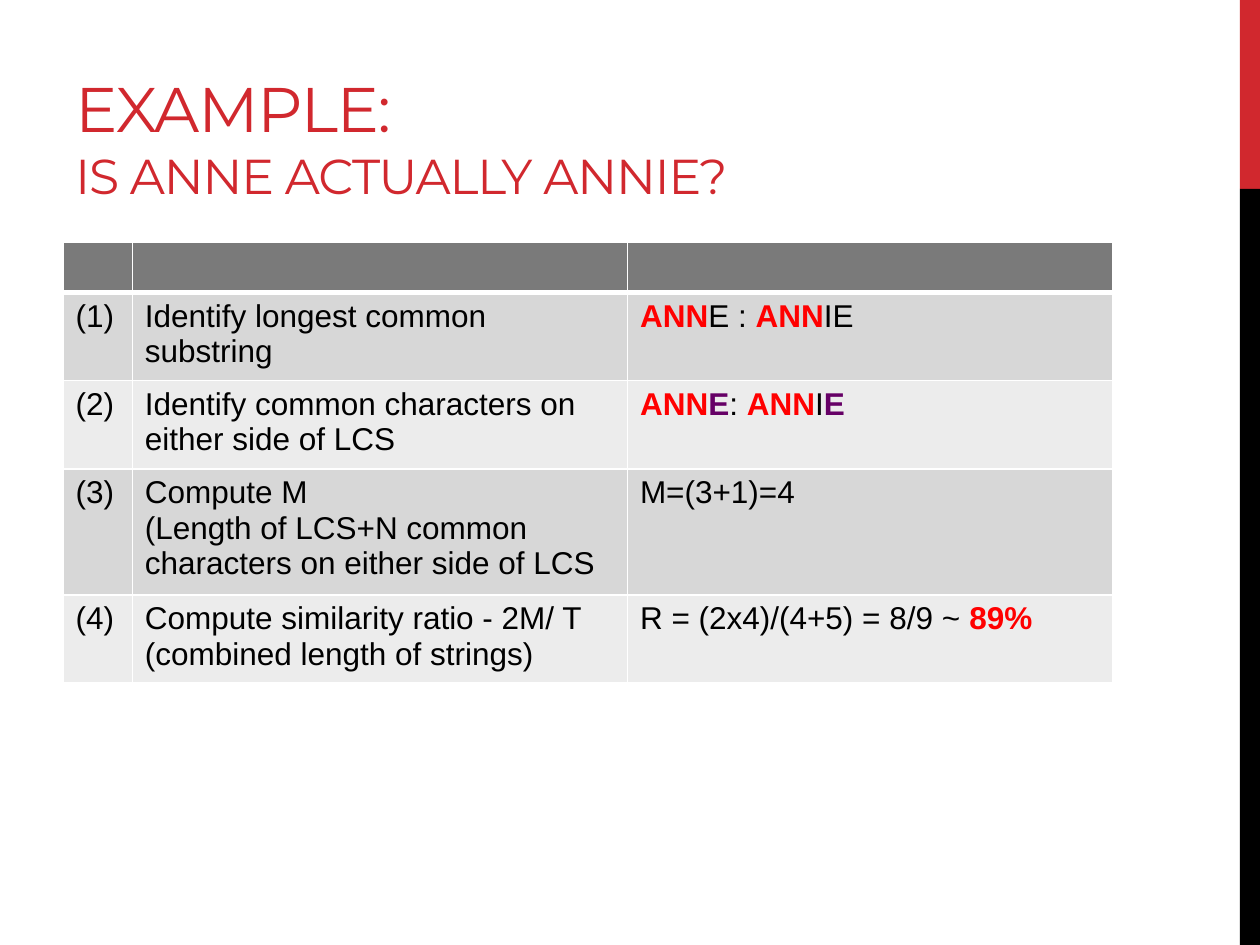
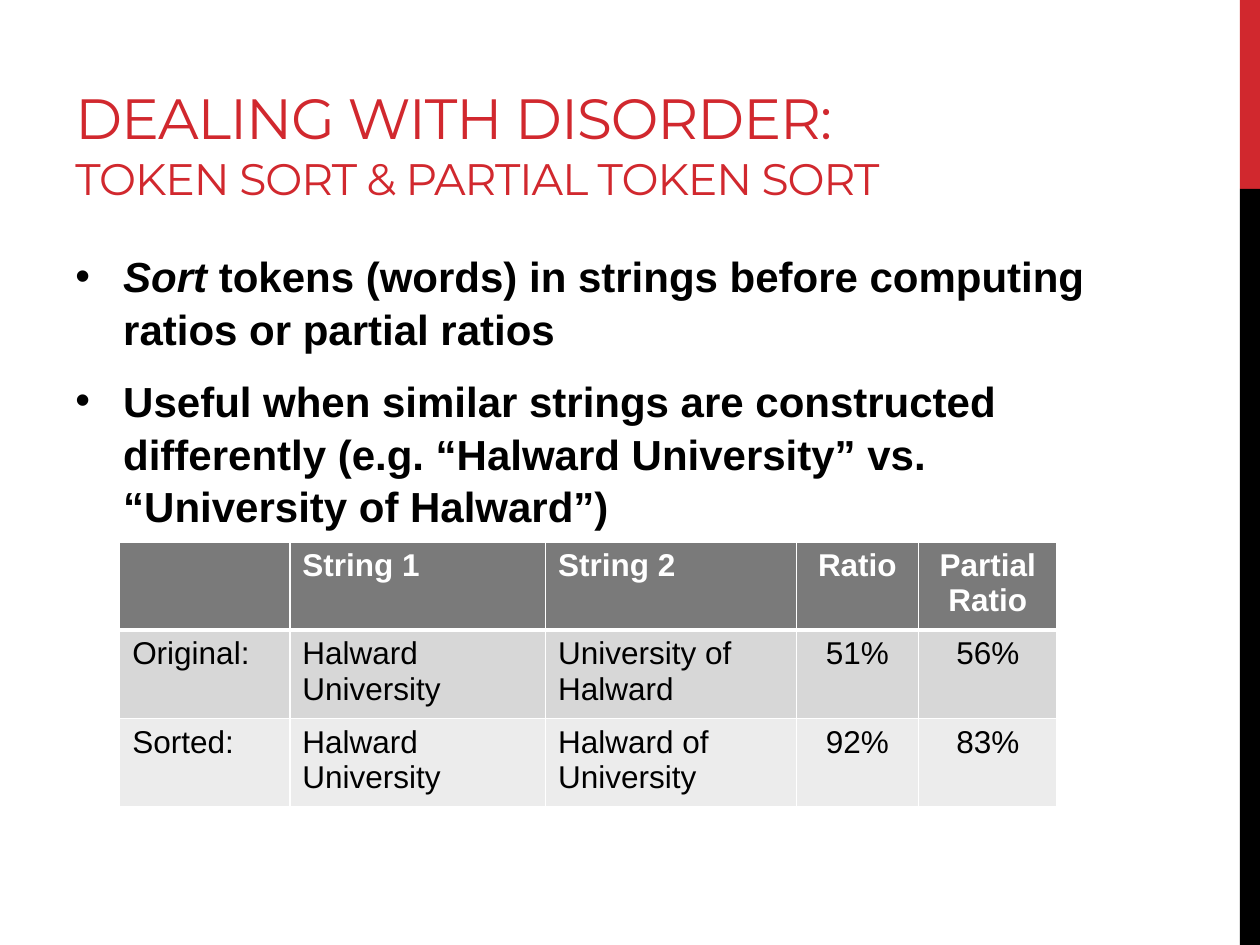
from lxml.etree import SubElement
from pptx import Presentation
from pptx.dml.color import RGBColor
from pptx.enum.shapes import MSO_SHAPE as Shape
from pptx.enum.text import MSO_ANCHOR as Anchor, PP_ALIGN as Align
from pptx.oxml.ns import qn
from pptx.util import Inches, Pt

RED, BLACK, WHITE = "D1282E", "000000", "FFFFFF"
MATCH, EXTRA = "FF0000", "660066"
HEADER_FILL, ROW_FILLS = "7A7A7A", ("D7D7D7", "ECECEC")
TITLE_FONT, BODY_FONT = "Montserrat", "Arial"

LCS_STEPS = [
    ["", "", ""],
    ["(1)", "Identify longest common substring",
     [("ANN", MATCH), ("E : ", None), ("ANN", MATCH), ("IE", None)]],
    ["(2)", "Identify common characters on either side of LCS",
     [("ANN", MATCH), ("E", EXTRA), (": ", None), ("ANN", MATCH), ("I", None), ("E", EXTRA)]],
    ["(3)", "Compute M\n(Length of LCS+N common characters on either side of LCS", "M=(3+1)=4"],
    ["(4)", "Compute similarity ratio - 2M/ T (combined length of strings)",
     [("R = (2x4)/(4+5) = 8/9 ~ ", None), ("89%", MATCH)]],
]
TOKEN_SORT_RATIOS = [
    ["", "String 1", "String 2", "Ratio", "Partial Ratio"],
    ["Original:", "Halward University", "University of Halward", "51%", "56%"],
    ["Sorted:", "Halward University", "Halward of University", "92%", "83%"],
]


def rgb(hex_code):
    """Turn a hex string into a colour."""
    return RGBColor.from_string(hex_code)


def set_font(font, name, size, color, bold=False):
    """Set the face, size, colour and weight of a font."""
    font.name, font.size, font.bold = name, Pt(size), bold
    font.color.rgb = rgb(color)


def add_text_frame(slide, box):
    """Add a wrapping text box and return its frame."""
    frame = slide.shapes.add_textbox(*map(Inches, box)).text_frame
    frame.word_wrap = True
    return frame


def add_side_bands(slide, left=9.84, width=0.16, split=1.5, bottom=7.5):
    """Draw the red and black bands along the right edge."""
    for top, height, color in ((0, split, RED), (split, bottom - split, BLACK)):
        band = slide.shapes.add_shape(Shape.RECTANGLE, *map(Inches, (left, top, width, height)))
        band.shadow.inherit = False
        band.fill.solid()
        band.fill.fore_color.rgb = rgb(color)
        band.line.fill.background()


def add_title(slide, box, heading, subheading, sizes):
    """Write a heading with a smaller second line at the bottom of the box."""
    frame = add_text_frame(slide, box)
    frame.vertical_anchor = Anchor.BOTTOM
    paragraph = frame.paragraphs[0]
    for index, (text, size) in enumerate(zip((heading, subheading), sizes)):
        if index:
            paragraph.add_line_break()
        run = paragraph.add_run()
        run.text = text
        set_font(run.font, TITLE_FONT, size, RED)
        run._r.get_or_add_rPr().set("spc", "-60")


def add_bullets(slide, box, bullets):
    """Write bold bullets, each a list of (text, italic) runs."""
    frame = add_text_frame(slide, box)
    for index, runs in enumerate(bullets):
        paragraph = frame.add_paragraph() if index else frame.paragraphs[0]
        paragraph.line_spacing = 1.05
        paragraph.space_before, paragraph.space_after = Pt(4.8), Pt(6)
        properties = paragraph._p.get_or_add_pPr()
        properties.set("marL", str(Inches(0.38)))
        properties.set("indent", str(-Inches(0.38)))
        SubElement(properties, qn("a:buFont"), typeface=BODY_FONT)
        SubElement(properties, qn("a:buChar"), char="•")
        set_font(paragraph.font, BODY_FONT, 24, BLACK, True)
        for text, italic in runs:
            run = paragraph.add_run()
            run.text = text
            run.font.italic = italic


def style_cell(cell, row):
    """Give a cell its white borders and the fill of its row."""
    properties = cell._tc.get_or_add_tcPr()
    widths = {"L": 1, "R": 1, "T": 3 if row == 1 else 1, "B": 1 if row else 3}
    for side, width in widths.items():
        border = SubElement(properties, qn(f"a:ln{side}"), w=str(Pt(width)))
        SubElement(SubElement(border, qn("a:solidFill")), qn("a:srgbClr"), val=WHITE)
    cell.fill.solid()
    cell.fill.fore_color.rgb = rgb(ROW_FILLS[(row - 1) % 2] if row else HEADER_FILL)


def write_cell(cell, content, is_header, centered):
    """Write plain text, or (text, highlight) runs, into a cell."""
    frame = cell.text_frame
    if isinstance(content, str):
        frame.text = content
    else:
        for text, highlight in content:
            run = frame.paragraphs[0].add_run()
            run.text = text
            if highlight:
                run.font.bold = True
                run.font.color.rgb = rgb(highlight)
    for paragraph in frame.paragraphs:
        set_font(paragraph.font, BODY_FONT, 18, WHITE if is_header else BLACK, is_header)
        paragraph.alignment = Align.CENTER if centered else Align.LEFT


def add_grid(slide, corner, widths, heights, rows, centered=()):
    """Add a table with a dark header and two alternating row fills."""
    box = map(Inches, (*corner, sum(widths), sum(heights)))
    table = slide.shapes.add_table(len(rows), len(widths), *box).table
    for column, width in zip(table.columns, widths):
        column.width = Inches(width)
    for row, (contents, height) in enumerate(zip(rows, heights)):
        table.rows[row].height = Inches(height)
        for column, content in enumerate(contents):
            cell = table.cell(row, column)
            style_cell(cell, row)
            write_cell(cell, content, row == 0, column in centered)


def build_example(slide):
    """Build the worked similarity example."""
    add_side_bands(slide)
    add_title(slide, (0.5, 0.17, 6.33, 1.5), "EXAMPLE:", "IS ANNE ACTUALLY ANNIE?", (36, 28))
    add_grid(slide, (0.5, 1.92), (0.55, 3.93, 3.85), (0.4, 0.66, 0.66, 0.94, 0.66), LCS_STEPS)


def build_token_sort(slide):
    """Build the slide on sorting tokens."""
    add_side_bands(slide)
    add_title(slide, (0.5, 0.17, 7.89, 1.5), "DEALING WITH DISORDER:",
              "TOKEN SORT & PARTIAL TOKEN SORT", (32.4, 25.2))
    add_bullets(slide, (0.5, 1.92, 8.33, 3.9), [
        [("Sort", True),
         (" tokens (words) in strings before computing ratios or partial ratios", False)],
        [("Useful when similar strings are constructed differently "
          "(e.g. “Halward University” vs. “University of Halward”)", False)],
    ])
    add_grid(slide, (0.95, 4.3), (1.35, 2.03, 1.99, 0.97, 1.1), (0.66,) * 3,
             TOKEN_SORT_RATIOS, centered=(3, 4))


def main():
    """Build and save the presentation."""
    deck = Presentation()
    deck.slide_width, deck.slide_height = Inches(10), Inches(7.5)
    for build in (build_example, build_token_sort):
        build(deck.slides.add_slide(deck.slide_layouts[6]))
    deck.save("out.pptx")


if __name__ == "__main__":
    main()
